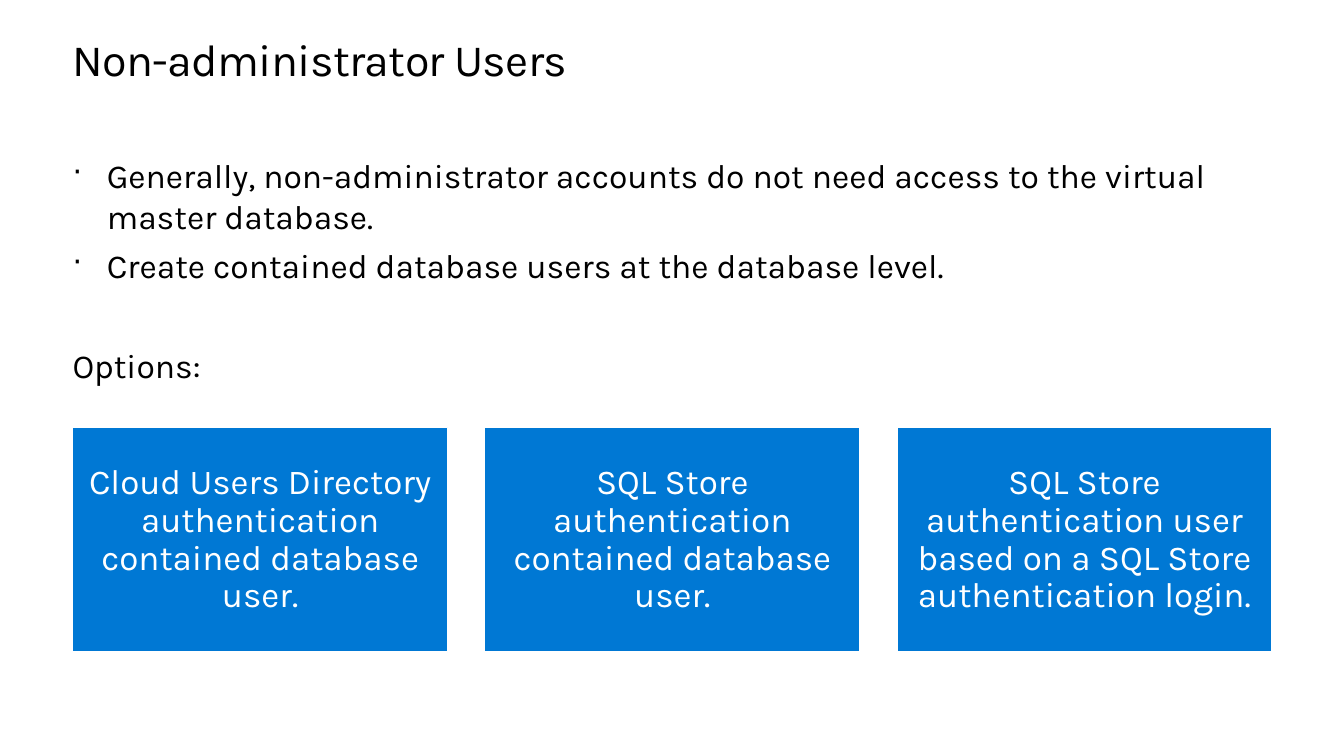
from lxml.etree import SubElement
from pptx import Presentation
from pptx.dml.color import RGBColor
from pptx.enum.shapes import MSO_SHAPE
from pptx.enum.text import MSO_ANCHOR, PP_ALIGN
from pptx.oxml.ns import qn
from pptx.util import Pt

FONT = "Karla"
LEFT, CONTENT_WIDTH = 51.84, 856.8
OPTION_WIDTH = 268

STATEMENTS = [
    "Generally, non-administrator accounts do not need access to the virtual master database.",
    "Create contained database users at the database level.",
]
OPTIONS = [
    "Cloud Users Directory authentication contained database user.",
    "SQL Store authentication contained database user.",
    "SQL Store authentication user based on a SQL Store authentication login.",
]


def colour(hex_code):
    return RGBColor.from_string(hex_code)


def style(paragraph, size, hex_code):
    for run in paragraph.runs:
        run.font.name = FONT
        run.font.size = Pt(size)
        run.font.color.rgb = colour(hex_code)


def set_margins(frame, margin):
    frame.word_wrap = True
    frame.margin_left = frame.margin_right = Pt(margin)
    frame.margin_top = frame.margin_bottom = Pt(margin)


def add_text_area(slide, top, height):
    area = slide.shapes.add_textbox(Pt(LEFT), Pt(top), Pt(CONTENT_WIDTH), Pt(height))
    set_margins(area.text_frame, 0)
    return area.text_frame


def add_bullet(paragraph):
    properties = paragraph._p.get_or_add_pPr()
    properties.set("marL", str(Pt(24.5)))
    properties.set("indent", str(-Pt(24.5)))
    bullet_colour = SubElement(properties, qn("a:buClr"))
    SubElement(bullet_colour, qn("a:srgbClr"), val="000000")
    SubElement(properties, qn("a:buSzPct"), val="90000")
    SubElement(properties, qn("a:buChar"), char="·")


def add_title(slide, text):
    title = add_text_area(slide, 25.2, 36).paragraphs[0]
    title.text = text
    title.line_spacing = Pt(36.2)
    style(title, 32, "000000")
    title.runs[0]._r.get_or_add_rPr().set("spc", "-50")


def add_body(slide, statements, closing):
    frame = add_text_area(slide, 110.9, 182.9)
    frame.text = "\n".join([*statements, closing])
    *bulleted, options_label = frame.paragraphs
    for statement in bulleted:
        add_bullet(statement)
    for statement in bulleted[1:]:
        statement.space_before = Pt(6.7)
    options_label.space_before = Pt(42.5)
    for paragraph in frame.paragraphs:
        style(paragraph, 24, "000000")


def add_option(slide, left, text):
    option = slide.shapes.add_shape(
        MSO_SHAPE.RECTANGLE, Pt(left), Pt(305.3), Pt(OPTION_WIDTH), Pt(160.6)
    )
    option.shadow.inherit = False
    option.fill.solid()
    option.fill.fore_color.rgb = colour("0078D4")
    option.line.color.rgb = colour("FFFFFF")
    option.line.width = Pt(1)
    frame = option.text_frame
    set_margins(frame, 7.2)
    frame.vertical_anchor = MSO_ANCHOR.MIDDLE
    frame.text = text
    label = frame.paragraphs[0]
    label.alignment = PP_ALIGN.CENTER
    label.line_spacing = 0.9
    style(label, 25, "FFFFFF")


def main():
    presentation = Presentation()
    presentation.slide_width = Pt(960)
    presentation.slide_height = Pt(540)
    slide = presentation.slides.add_slide(presentation.slide_layouts[6])
    add_title(slide, "Non-administrator Users")
    add_body(slide, STATEMENTS, "Options:")
    pitch = (CONTENT_WIDTH - OPTION_WIDTH) / (len(OPTIONS) - 1)
    for index, text in enumerate(OPTIONS):
        add_option(slide, LEFT + index * pitch, text)
    presentation.save("out.pptx")


if __name__ == "__main__":
    main()
